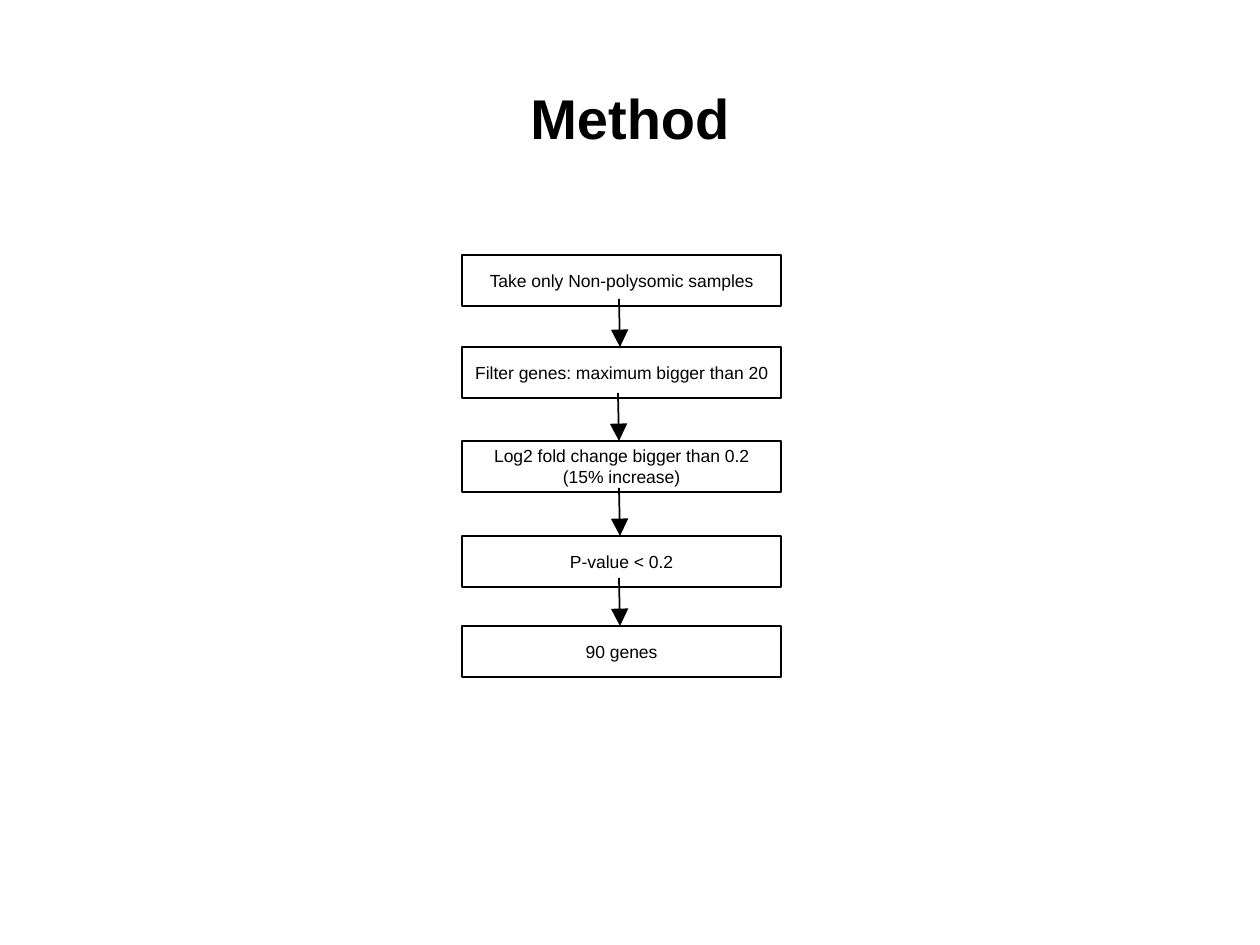
"""Build the Method slide: a vertical flow of five filtering steps."""
from lxml.etree import SubElement
from pptx import Presentation
from pptx.dml.color import RGBColor
from pptx.enum.shapes import MSO_CONNECTOR as CONN, MSO_SHAPE as SHAPE
from pptx.enum.text import MSO_ANCHOR as ANCHOR, PP_ALIGN as ALIGN
from pptx.oxml.ns import qn
from pptx.util import Pt

PX = 914400 // 126
COLORS = {"ink": "000000", "paper": "FFFFFF"}
FONT = "Arial"
TITLE = "Method"
STEPS = [
    ("Take only Non-polysomic samples", 255),
    ("Filter genes: maximum bigger than 20", 347),
    ("Log2 fold change bigger than 0.2 (15% increase)", 441),
    ("P-value < 0.2", 536),
    ("90 genes", 626),
]
ARROW_X = [619, 618, 619, 619]
BOX_X, BOX_W, BOX_H = 462, 319, 51
ARROW_H = 48


def px(*values):
    return [int(v * PX) for v in values]


def rgb(name):
    return RGBColor.from_string(COLORS[name])


def set_text(shape, text, size, bold=False):
    tf = shape.text_frame
    tf.text = text
    tf.word_wrap = True
    tf.vertical_anchor = ANCHOR.MIDDLE
    p = tf.paragraphs[0]
    p.alignment = ALIGN.CENTER
    font = p.runs[0].font
    font.name, font.size, font.bold = FONT, Pt(size), bold
    font.color.rgb = rgb("ink")


def set_line(shape):
    shape.line.color.rgb = rgb("ink")
    shape.line.width = Pt(1)


def add_step(s, text, top):
    box = s.shapes.add_shape(SHAPE.RECTANGLE, *px(BOX_X, top, BOX_W, BOX_H))
    box.shadow.inherit = False
    box.fill.solid()
    box.fill.fore_color.rgb = rgb("paper")
    set_line(box)
    set_text(box, text, 10)
    tf = box.text_frame
    tf.margin_left = tf.margin_right = px(10)[0]


def add_arrow(s, x, bottom):
    arrow = s.shapes.add_connector(
        CONN.STRAIGHT, *px(x, bottom - ARROW_H, x + 1, bottom))
    set_line(arrow)
    SubElement(arrow.line._get_or_add_ln(), qn("a:tailEnd"),
               type="triangle", w="lg", len="lg")
    SubElement(arrow._element.spPr, qn("a:effectLst"))


prs = Presentation()
prs.slide_width, prs.slide_height = px(1260, 945)
s = prs.slides.add_slide(prs.slide_layouts[5])
title = s.shapes.title
title.left, title.top, title.width, title.height = px(63, 38, 1134, 158)
set_text(title, TITLE, 32, bold=True)

for text, top in STEPS:
    add_step(s, text, top)
for x, (_, top) in zip(ARROW_X, STEPS[1:]):
    add_arrow(s, x, top)

prs.save("out.pptx")
